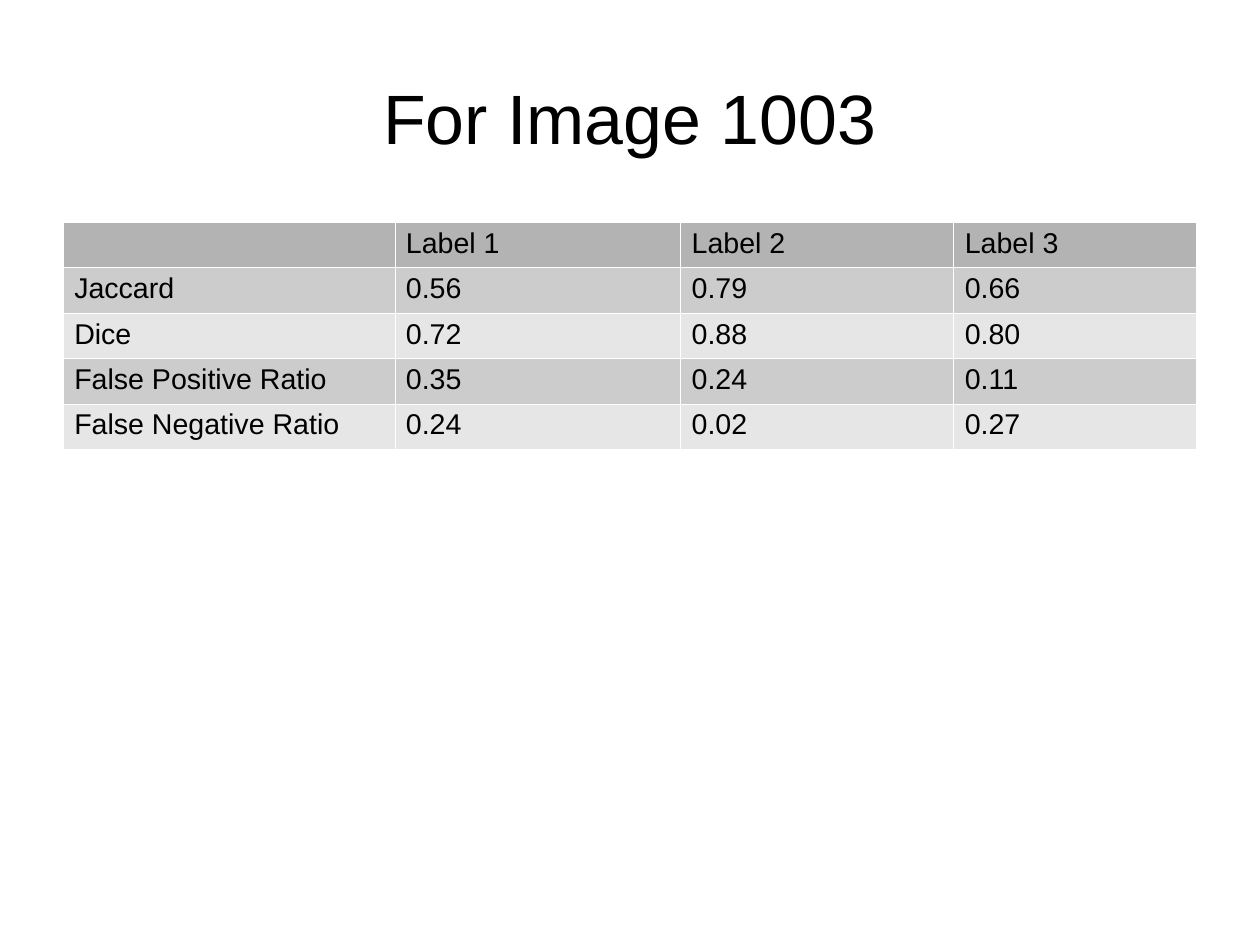
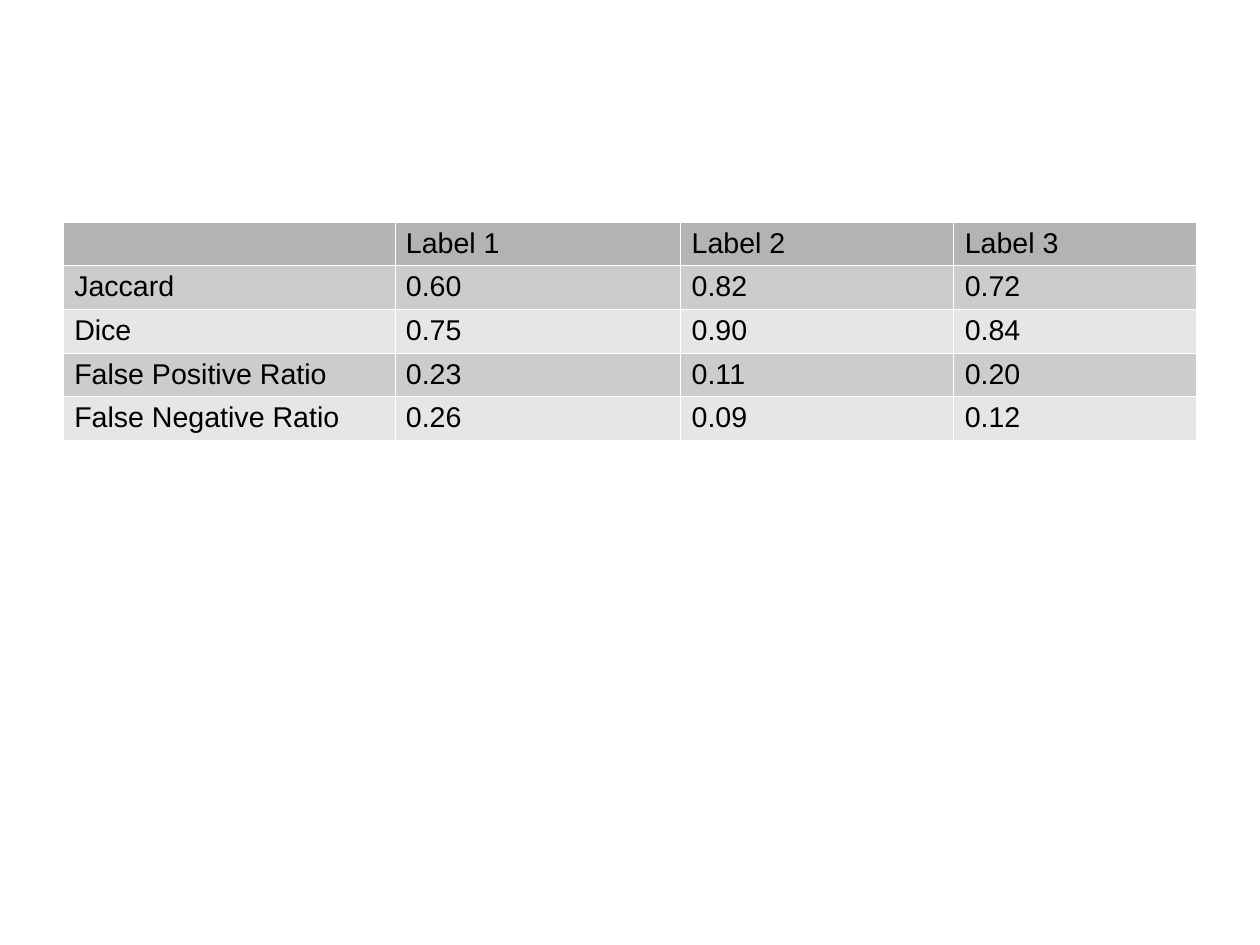
"""Build two slides of segmentation scores, one table on each."""
from lxml.etree import SubElement
from pptx import Presentation
from pptx.dml.color import RGBColor
from pptx.enum.text import MSO_ANCHOR, MSO_AUTO_SIZE, PP_ALIGN
from pptx.oxml.ns import qn
from pptx.util import Cm, Pt

BLACK = RGBColor(0x00, 0x00, 0x00)
WHITE = RGBColor(0xFF, 0xFF, 0xFF)
HEADER_GREY = RGBColor(0xB3, 0xB3, 0xB3)
BAND_GREYS = (RGBColor(0xCC, 0xCC, 0xCC), RGBColor(0xE6, 0xE6, 0xE6))
FONT = "Arial"
TITLE_SIZE, CELL_SIZE = Pt(44), Pt(18)
BORDER_WIDTH = Pt(0.06)

TITLE_ONLY, BLANK = 5, 6
TITLE_BOX = (Cm(1.4), Cm(0.84), Cm(25.2), Cm(3.5))
TABLE_LEFT, TABLE_TOP = Cm(1.4), Cm(4.93)
COLUMN_WIDTHS = (Cm(7.37), Cm(6.35), Cm(6.07), Cm(5.39))

HEADER = ("", "Label 1", "Label 2", "Label 3")
METRICS = ("Jaccard", "Dice", "False Positive Ratio", "False Negative Ratio")
FIRST_SCORES = (
    ("0.56", "0.79", "0.66"),
    ("0.72", "0.88", "0.80"),
    ("0.35", "0.24", "0.11"),
    ("0.24", "0.02", "0.27"),
)
SECOND_SCORES = (
    ("0.60", "0.82", "0.72"),
    ("0.75", "0.90", "0.84"),
    ("0.23", "0.11", "0.20"),
    ("0.26", "0.09", "0.12"),
)


def add_span(para, text, size):
    """Add one run in the shared font."""
    span = para.add_run()
    span.text = text
    span.font.name = FONT
    span.font.size = size
    span.font.bold = False
    span.font.color.rgb = BLACK


def set_empty_font(para):
    """Give an empty paragraph the font of the filled cells."""
    end = SubElement(para._p, qn("a:endParaRPr"), sz=str(int(CELL_SIZE.pt * 100)))
    SubElement(end, qn("a:latin"), typeface=FONT)


def set_borders(cell):
    """Draw a thin white line on each side of a cell."""
    properties = cell._tc.get_or_add_tcPr()
    for position, side in enumerate(("lnL", "lnR", "lnT", "lnB")):
        line = SubElement(properties, qn(f"a:{side}"), w=str(BORDER_WIDTH))
        fill = SubElement(line, qn("a:solidFill"))
        SubElement(fill, qn("a:srgbClr"), val=str(WHITE))
        properties.insert(position, line)


def fill_cell(cell, text, colour):
    """Write and style one table cell."""
    cell.fill.solid()
    cell.fill.fore_color.rgb = colour
    cell.margin_left = cell.margin_right = Cm(0.25)
    cell.margin_top = cell.margin_bottom = Cm(0.12)
    cell.vertical_anchor = MSO_ANCHOR.TOP
    set_borders(cell)
    para = cell.text_frame.paragraphs[0]
    if text:
        add_span(para, text, CELL_SIZE)
    else:
        set_empty_font(para)


def add_title(page, text, box):
    """Place the centred title in its box."""
    title = page.shapes.title
    title.left, title.top, title.width, title.height = box
    frame = title.text_frame
    frame.margin_left = frame.margin_right = 0
    frame.margin_top = frame.margin_bottom = 0
    frame.vertical_anchor = MSO_ANCHOR.MIDDLE
    frame.auto_size = MSO_AUTO_SIZE.NONE
    para = frame.paragraphs[0]
    para.alignment = PP_ALIGN.CENTER
    add_span(para, text, TITLE_SIZE)


def add_score_table(page, scores, left, top, row_height):
    """Place the banded table of scores per metric and label."""
    rows = [HEADER] + [(metric, *values) for metric, values in zip(METRICS, scores)]
    table = page.shapes.add_table(
        len(rows), len(HEADER), left, top,
        sum(COLUMN_WIDTHS), row_height * len(rows),
    ).table
    table.horz_banding = False
    for column, width in zip(table.columns, COLUMN_WIDTHS):
        column.width = width
    for index, texts in enumerate(rows):
        table.rows[index].height = row_height
        colour = BAND_GREYS[(index - 1) % 2] if index else HEADER_GREY
        for cell, text in zip(table.rows[index].cells, texts):
            fill_cell(cell, text, colour)


def add_score_page(deck, scores, row_height, title=None):
    """Add a slide with a score table and, if given, a title."""
    page = deck.slides.add_slide(deck.slide_layouts[TITLE_ONLY if title else BLANK])
    if title:
        add_title(page, title, TITLE_BOX)
    add_score_table(page, scores, TABLE_LEFT, TABLE_TOP, row_height)


def main():
    """Build and save the deck."""
    deck = Presentation()
    deck.slide_width, deck.slide_height = Cm(28), Cm(21)
    add_score_page(deck, FIRST_SCORES, Cm(1.01), "For Image 1003")
    add_score_page(deck, SECOND_SCORES, Cm(0.97))
    deck.save("out.pptx")


if __name__ == "__main__":
    main()
